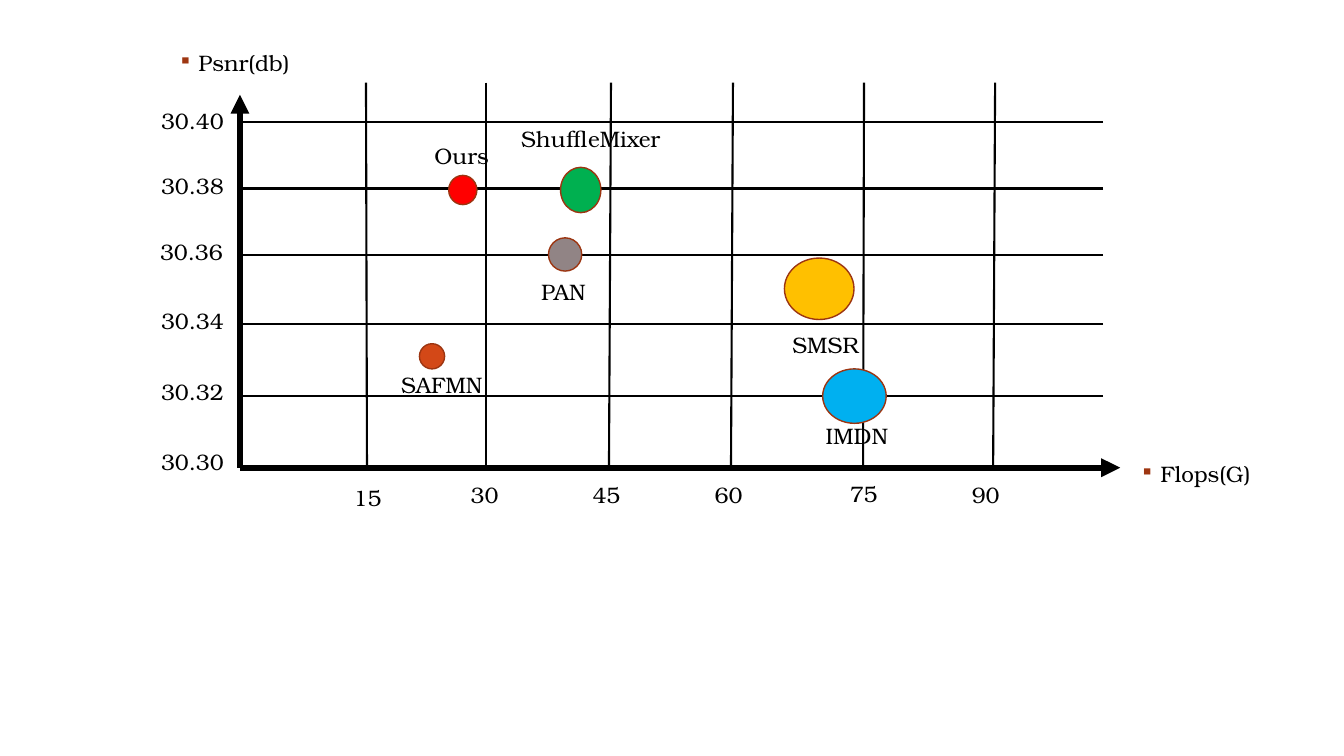
from lxml import etree
from pptx import Presentation
from pptx.dml.color import RGBColor as RGB
from pptx.enum.shapes import MSO_CONNECTOR as Conn, MSO_SHAPE as Shape
from pptx.oxml.ns import qn
from pptx.util import Inches, Pt

BLACK = RGB(0x00, 0x00, 0x00)
RUST = RGB(0x9C, 0x35, 0x11)
ORANGE = RGB(0xD3, 0x48, 0x17)
RED = RGB(0xFF, 0x00, 0x00)
GREEN = RGB(0x00, 0xB0, 0x50)
GRAY = RGB(0x91, 0x84, 0x85)
GOLD = RGB(0xFF, 0xC0, 0x00)
BLUE = RGB(0x00, 0xB0, 0xF0)
MARK = "9E3611"

# Plot frame
LEFT, BASE, TOP, RIGHT = 2.38, 4.64, 0.82, 10.94

# Vertical grid: value, top x, bottom x, label left, label top
COLS = [
    ("15", 3.63, 3.64, 3.41, 4.78),
    ("30", 4.82, 4.82, 4.57, 4.75),
    ("45", 6.06, 6.04, 5.78, 4.75),
    ("60", 7.27, 7.25, 6.99, 4.75),
    ("75", 8.57, 8.56, 8.33, 4.74),
    ("90", 9.87, 9.85, 9.54, 4.75),
]
# Horizontal grid: value, line y, label left, label top
ROWS = [
    ("30.40", 1.21, 1.5, 1.04),
    ("30.38", 1.87, 1.5, 1.69),
    ("30.36", 2.53, 1.49, 2.34),
    ("30.34", 3.21, 1.5, 3.03),
    ("30.32", 3.93, 1.5, 3.73),
    ("30.30", None, 1.5, 4.43),
]
# Models: name, colour, bubble box, label left, top, width
MODELS = [
    ("SAFMN", ORANGE, (4.16, 3.41, 0.25, 0.25), (3.88, 3.66, 1.03)),
    ("Ours", RED, (4.45, 1.74, 0.28, 0.29), (4.21, 1.39, 1.03)),
    ("ShuffleMixer", GREEN, (5.56, 1.66, 0.4, 0.45), (5.07, 1.22, 1.86)),
    ("PAN", GRAY, (5.44, 2.36, 0.33, 0.33), (5.27, 2.74, 1.03)),
    ("SMSR", GOLD, (7.78, 2.56, 0.69, 0.61), (7.76, 3.27, 1.03)),
    ("IMDN", BLUE, (8.16, 3.66, 0.63, 0.54), (8.09, 4.17, 1.03)),
]


def write(par, text, font="TeX Gyre Bonum", size=16, color=BLACK):
    run = par.add_run()
    run.text = text
    run.font.name = font
    run.font.size = Pt(size)
    run.font.color.rgb = color


class Board:
    def __init__(self, slide):
        self.shapes = slide.shapes

    def line(self, x1, y1, x2, y2, width=1.5, arrow=False):
        link = self.shapes.add_connector(
            Conn.STRAIGHT, Inches(x1), Inches(y1), Inches(x2), Inches(y2))
        link.line.color.rgb = BLACK
        link.line.width = Pt(width)
        if arrow:
            etree.SubElement(link.line._get_or_add_ln(), qn("a:tailEnd"),
                             type="triangle")
        etree.SubElement(link._element.spPr, qn("a:effectLst"))

    def label(self, text, x, y, width=0.93, height=0.4, bullet=False):
        box = self.shapes.add_textbox(
            Inches(x), Inches(y), Inches(width), Inches(height))
        box.text_frame.word_wrap = True
        par = box.text_frame.paragraphs[0]
        par.line_spacing = 0.9
        par.space_before = Pt(12)
        if bullet:
            self.bullet(par)
        write(par, text)

    def bullet(self, par):
        props = par._p.get_or_add_pPr()
        props.set("marL", str(Inches(0.2)))
        props.set("indent", str(Inches(-0.2)))
        tint = etree.SubElement(props, qn("a:buClr"))
        etree.SubElement(tint, qn("a:srgbClr"), val=MARK)
        etree.SubElement(props, qn("a:buSzPct"), val="85000")
        etree.SubElement(props, qn("a:buChar"), char="▪")

    def bubble(self, box, color):
        dot = self.shapes.add_shape(Shape.OVAL, *map(Inches, box))
        dot.shadow.inherit = False
        dot.fill.solid()
        dot.fill.fore_color.rgb = color
        dot.line.color.rgb = RUST
        dot.line.width = Pt(1)


def main():
    deck = Presentation()
    deck.slide_width, deck.slide_height = Inches(13.33), Inches(7.5)
    board = Board(deck.slides.add_slide(deck.slide_layouts[6]))

    # Axes and their titles
    board.line(LEFT, BASE, LEFT, 0.94, width=4.5, arrow=True)
    board.line(LEFT, BASE, 11.11, BASE, width=4.5, arrow=True)
    board.label("Psnr(db)", 1.67, 0.47, width=1.55, bullet=True)
    board.label("Flops(G)", 11.21, 4.55, width=1.55, bullet=True)

    # Grid with tick labels
    for text, upper, lower, x, y in COLS:
        board.line(upper, TOP, lower, BASE)
        board.label(text, x, y)
    for text, level, x, y in ROWS:
        if level is not None:
            board.line(RIGHT, level, LEFT, level)
        board.label(text, x, y)

    # Models
    for name, color, box, (x, y, width) in MODELS:
        board.bubble(box, color)
        board.label(name, x, y, width, height=0.45)

    deck.save("out.pptx")


if __name__ == "__main__":
    main()
